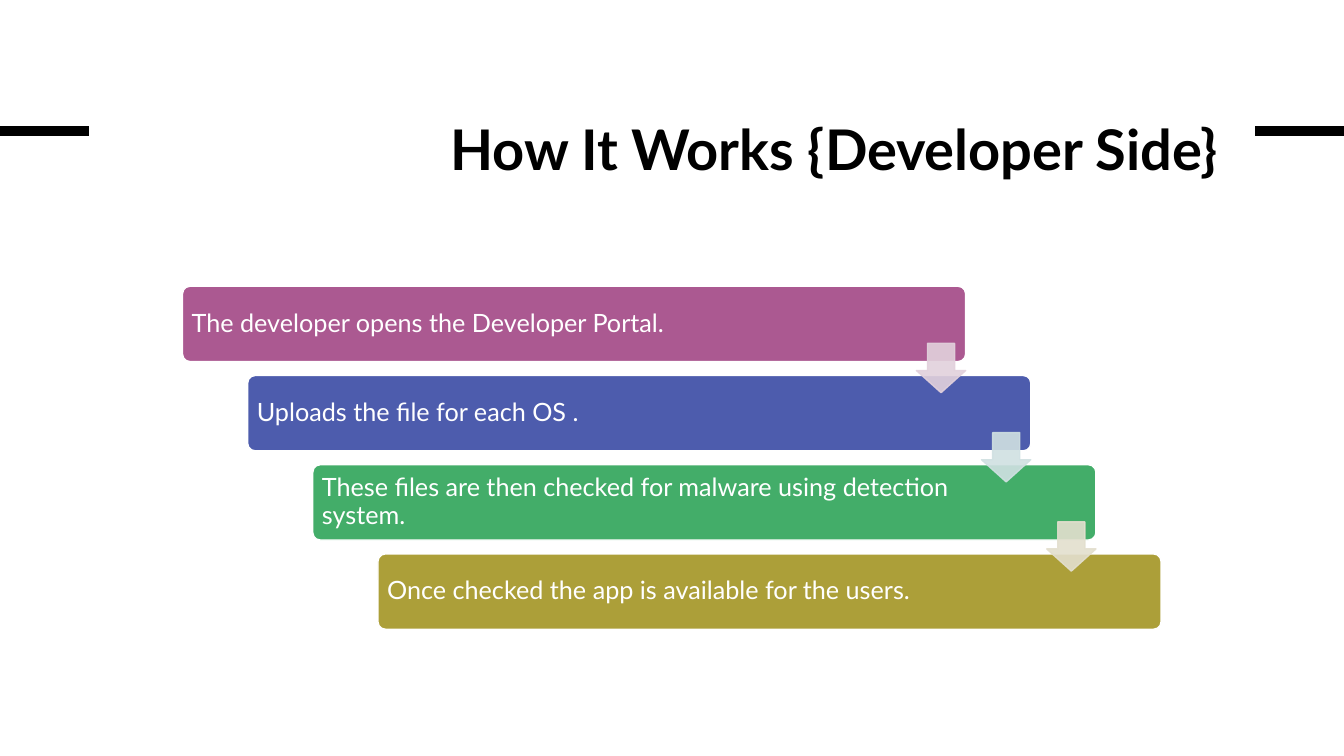
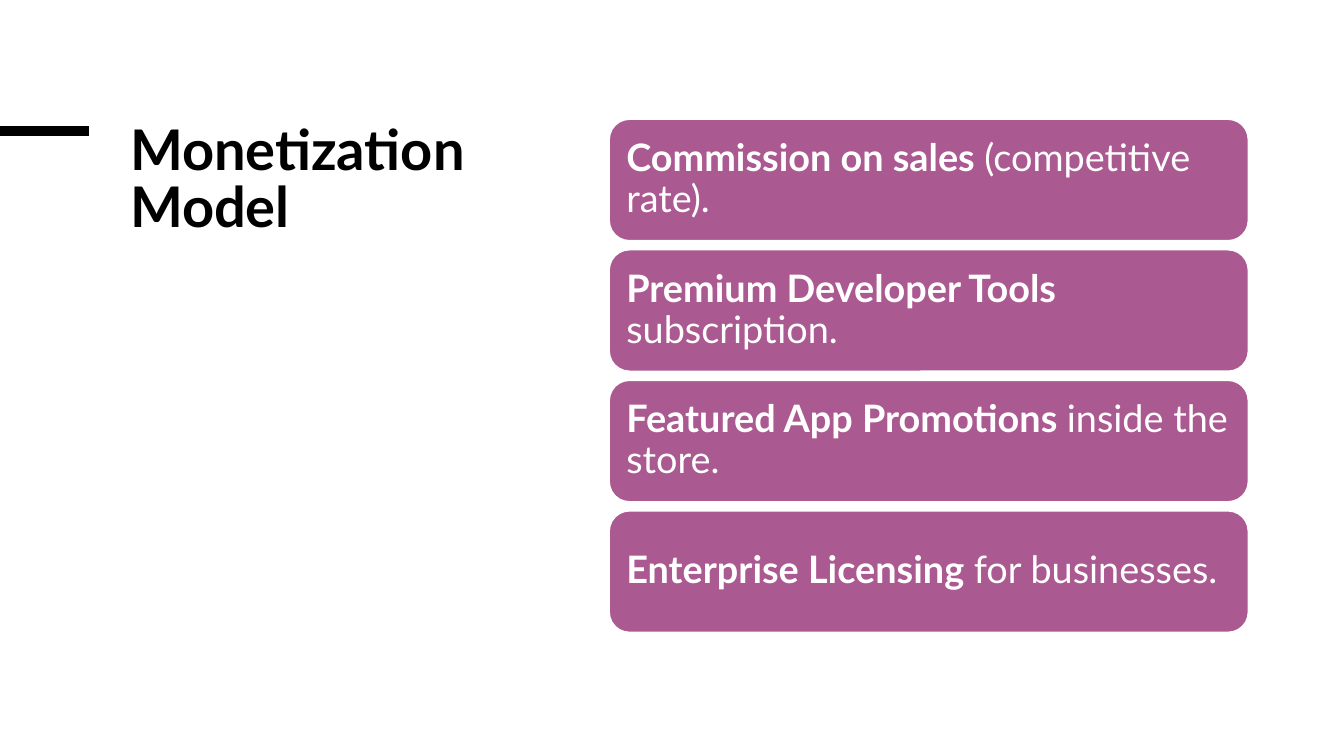
from lxml import etree
from pptx import Presentation
from pptx.dml.color import RGBColor
from pptx.enum.shapes import MSO_CONNECTOR, MSO_SHAPE
from pptx.enum.text import MSO_ANCHOR, PP_ALIGN
from pptx.oxml.ns import qn
from pptx.util import Pt

# Shared style
FONT = "Lato"
BLACK = RGBColor(0x00, 0x00, 0x00)
WHITE = RGBColor(0xFF, 0xFF, 0xFF)
PLUM = RGBColor(0xAB, 0x59, 0x91)
INDIGO = RGBColor(0x4D, 0x5C, 0xAD)
GREEN = RGBColor(0x43, 0xAD, 0x69)
OLIVE = RGBColor(0xAC, 0x9F, 0x39)
PALE_PLUM = RGBColor(0xE2, 0xD1, 0xDC)
PALE_BLUE = RGBColor(0xD0, 0xE0, 0xE2)
PALE_OLIVE = RGBColor(0xE3, 0xDF, 0xCE)

SLIDE_WIDTH, SLIDE_HEIGHT = 960, 540
RULE_LENGTH, RULE_TOP = 63.5, 93.6
TITLE_TOP = 85.6

# Slide content: step text, bar colour, colour of the arrow to the next step
STEPS = [
    ("The developer opens the Developer Portal.", PLUM, PALE_PLUM),
    ("Uploads the file for each OS .", INDIGO, PALE_BLUE),
    ("These files are then checked for malware using detection system.",
     GREEN, PALE_OLIVE),
    ("Once checked the app is available for the users.", OLIVE, None),
]
INCOME_SOURCES = [
    ("Commission on sales", " (competitive rate)."),
    ("Premium Developer Tools", " subscription."),
    ("Featured App Promotions", " inside the store."),
    ("Enterprise Licensing", " for businesses."),
]


def add_span(para, text, size, color, bold=False):
    span = para.add_run()
    span.text = text
    span.font.name = FONT
    span.font.size = Pt(size)
    span.font.color.rgb = color
    span.font.bold = bold


def add_rule(page, left):
    """Thick black line at title height."""
    rule = page.shapes.add_connector(
        MSO_CONNECTOR.STRAIGHT, Pt(left), Pt(RULE_TOP),
        Pt(left + RULE_LENGTH), Pt(RULE_TOP))
    rule.line.color.rgb = BLACK
    rule.line.width = Pt(6.75)
    etree.SubElement(rule.element.spPr, qn("a:effectLst"))


def add_title(page, text, left, width, height, align=PP_ALIGN.LEFT):
    box = page.shapes.add_textbox(Pt(left), Pt(TITLE_TOP), Pt(width), Pt(height))
    box.text_frame.word_wrap = True
    para = box.text_frame.paragraphs[0]
    para.alignment = align
    para.line_spacing = 0.85
    add_span(para, text, 40, BLACK, bold=True)


def add_page(deck):
    page = deck.slides.add_slide(deck.slide_layouts[6])
    add_rule(page, 0)
    return page


def add_figure(page, kind, left, top, width, height, fill, outline):
    figure = page.shapes.add_shape(kind, Pt(left), Pt(top), Pt(width), Pt(height))
    figure.shadow.inherit = False
    figure.fill.solid()
    figure.fill.fore_color.rgb = fill
    figure.line.color.rgb = outline
    figure.line.width = Pt(1)
    return figure


def add_card(page, left, top, width, height, fill, corner, spans, size,
             inset, right_inset):
    """Rounded bar; spans is a list of (text, bold) pairs."""
    card = add_figure(page, MSO_SHAPE.ROUNDED_RECTANGLE, left, top, width,
                      height, fill, WHITE)
    card.adjustments[0] = corner
    frame = card.text_frame
    frame.word_wrap = True
    frame.vertical_anchor = MSO_ANCHOR.MIDDLE
    frame.margin_left = frame.margin_top = frame.margin_bottom = Pt(inset)
    frame.margin_right = Pt(right_inset)
    para = frame.paragraphs[0]
    para.alignment = PP_ALIGN.LEFT
    para.line_spacing = 0.9
    for text, bold in spans:
        add_span(para, text, size, WHITE, bold)


def add_arrow(page, left, top, size, color):
    """Translucent down arrow."""
    arrow = add_figure(page, MSO_SHAPE.DOWN_ARROW, left, top, size, size,
                       color, color)
    arrow.adjustments[0] = 0.55
    arrow.adjustments[1] = 0.45
    for tint in arrow.element.spPr.iter(qn("a:srgbClr")):
        etree.SubElement(tint, qn("a:alpha"), val="90000")


def add_staircase(page, left, top, width, height):
    """Bars stepping down to the right, linked by arrows."""
    bar_width, bar_height, arrow_size = 559.4, 53.8, 35.2
    gaps = len(STEPS) - 1
    step_x = (width - bar_width) / gaps
    step_y = (height - bar_height) / gaps
    places = [(left + i * step_x, top + i * step_y) for i in range(len(STEPS))]
    for (x, y), (text, fill, _) in zip(places, STEPS):
        add_card(page, x, y, bar_width, bar_height, fill, 0.1,
                 [(text, False)], 18, inset=5, right_inset=87)
    for (x, y), (_, _, color) in zip(places, STEPS):
        if color is not None:
            add_arrow(page, x + bar_width - arrow_size, y + 40.8,
                      arrow_size, color)


def add_card_stack(page, left, top, width, height):
    """Equal cards, one above the other."""
    gap = 6.5
    count = len(INCOME_SOURCES)
    card_height = (height - gap * (count - 1)) / count
    for i, (lead, rest) in enumerate(INCOME_SOURCES):
        add_card(page, left, top + i * (card_height + gap), width, card_height,
                 PLUM, 0.1667, [(lead, True), (rest, False)], 27,
                 inset=8, right_inset=8)


def build_developer_slide(deck):
    page = add_page(deck)
    add_title(page, "How It Works {Developer Side}", 265.6, 611.3, 123,
              PP_ALIGN.RIGHT)
    add_rule(page, SLIDE_WIDTH - RULE_LENGTH)
    add_staircase(page, 130.4, 204.5, 699, 245)


def build_monetization_slide(deck):
    page = add_page(deck)
    add_title(page, "Monetization Model", 85.8, 296.6, 184.3)
    add_card_stack(page, 435.2, 85.2, 456.5, 366.5)


def main():
    deck = Presentation()
    deck.slide_width = Pt(SLIDE_WIDTH)
    deck.slide_height = Pt(SLIDE_HEIGHT)
    build_developer_slide(deck)
    build_monetization_slide(deck)
    deck.save("out.pptx")


if __name__ == "__main__":
    main()
